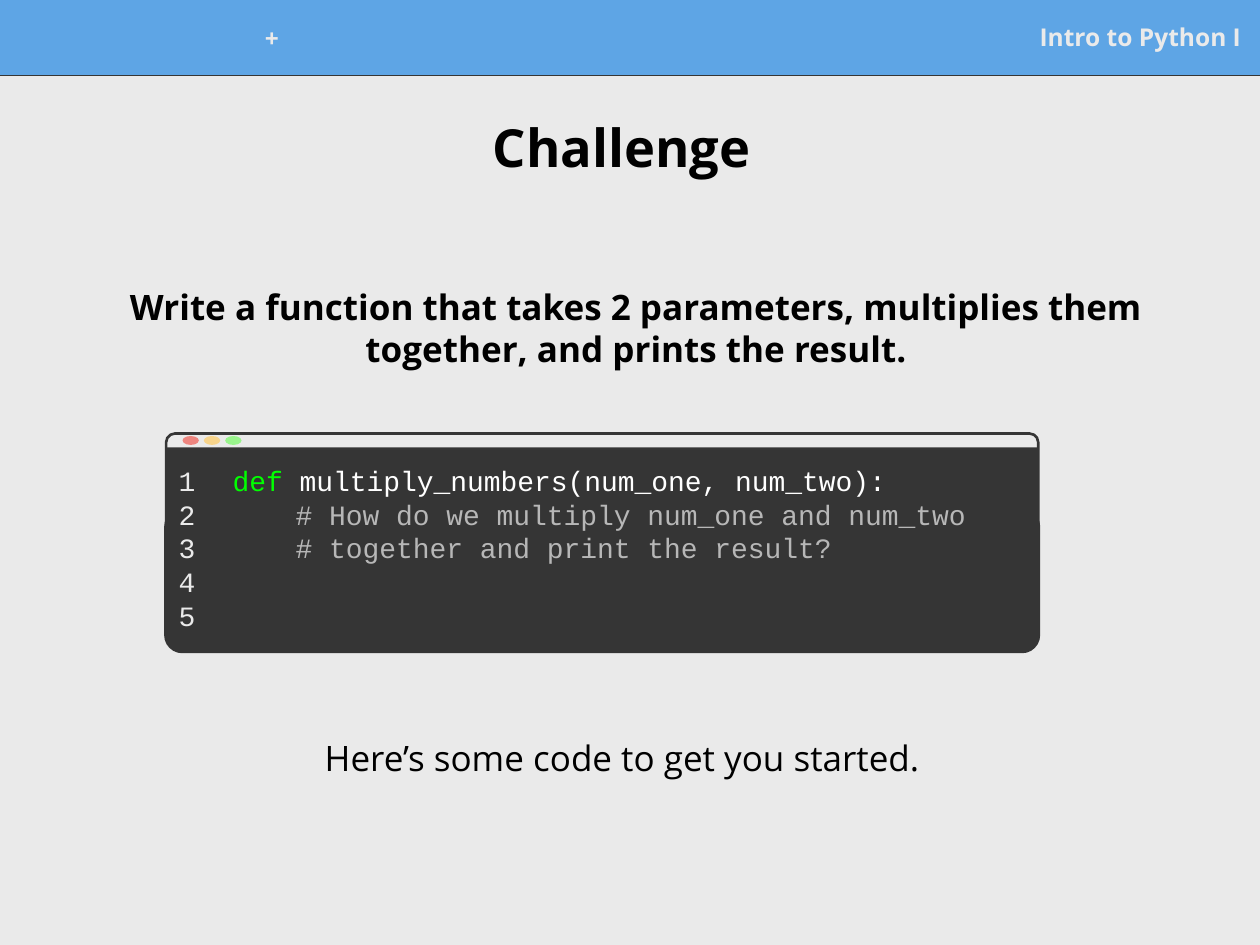
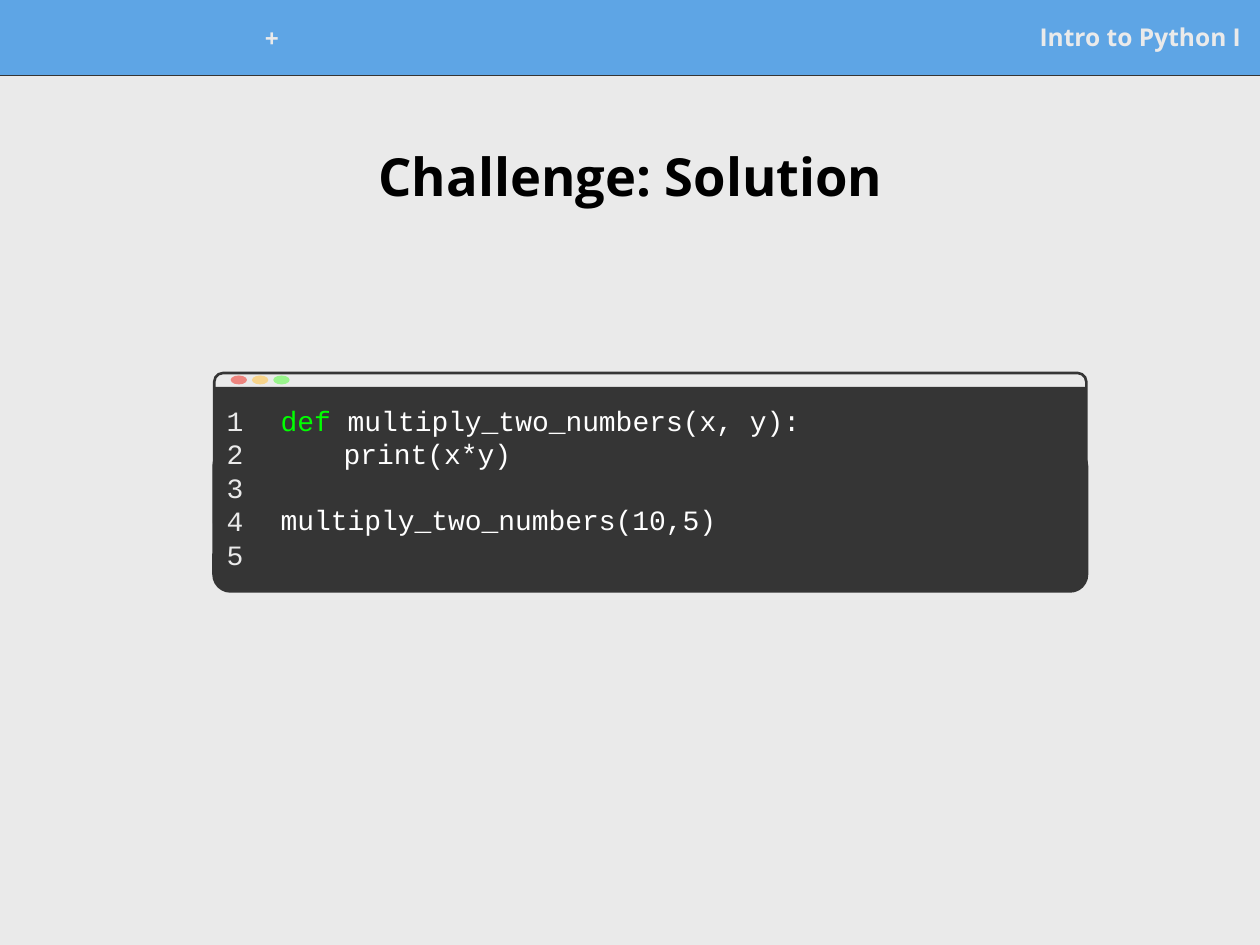
from pptx import Presentation
from pptx import util as u
from pptx.dml.color import RGBColor
from pptx.enum import shapes, text
from pptx.oxml import ns
from lxml import etree

Cm, Pt = u.Cm, u.Pt
KIND = shapes.MSO_SHAPE
ALIGN = text.PP_ALIGN
MID, TOP = text.MSO_ANCHOR.MIDDLE, text.MSO_ANCHOR.TOP

# Shared look
SANS, MONO = "Open Sans", "Courier New"
PALE, DARK, BLUE = "EAEAEA", "353535", "5EA5E5"
BLACK, WHITE, GREEN, GREY = "000000", "FFFFFF", "00FF00", "B7B7B7"
LIGHTS = ("ED857F", "F7D48B", "99F48C")
WIDE = 25.4
BAND = 1.5
CODE_SIZE = 16
CODE_LINE = 18.1  # height of one code line, in points


def paint(color, value):
    color.rgb = RGBColor.from_string(value)


# Kinds of element
def shape(parent, kind, box, fill=None, line=None, width=0.75, round_by=None):
    item = parent.add_shape(kind, *map(Cm, box))
    item.shadow.inherit = False
    if round_by is not None:
        item.adjustments[0] = round_by
    if fill:
        item.fill.solid()
        paint(item.fill.fore_color, fill)
    else:
        item.fill.background()
    if line:
        paint(item.line.color, line)
        item.line.width = Pt(width)
    else:
        item.line.fill.background()


def rule(parent, y, color, width):
    line = parent.add_connector(shapes.MSO_CONNECTOR.STRAIGHT,
                                0, Cm(y), Cm(WIDE), Cm(y))
    paint(line.line.color, color)
    line.line.width = Pt(width)
    etree.SubElement(line._element.spPr, ns.qn("a:effectLst"))


def write(parent, box, lines, size, font=SANS, bold=False,
          align=ALIGN.LEFT, anchor=TOP, after=0):
    """Each line is a list of (words, color) runs; an empty one leaves a gap."""
    frame = parent.add_textbox(*map(Cm, box)).text_frame
    frame.word_wrap = True
    frame.vertical_anchor = anchor
    frame.margin_left = frame.margin_right = Cm(0.25)
    frame.margin_top = frame.margin_bottom = Cm(0.25)
    para, gap = frame.paragraphs[0], 0
    for row in lines:
        if not row:
            gap += CODE_LINE
            continue
        if para.runs:
            para = frame.add_paragraph()
        para.alignment = align
        para.space_after = Pt(after)
        if gap:
            para.space_before = Pt(gap)
        gap = 0
        for words, color in row:
            run = para.add_run()
            run.text = words
            run.font.name, run.font.size, run.font.bold = font, Pt(size), bold
            paint(run.font.color, color)


def label(slide, box, words, size, color=BLACK, bold=True,
          align=ALIGN.CENTER, after=0):
    write(slide.shapes, box, [[(words, color)]], size, bold=bold,
          align=align, anchor=MID, after=after)


def title(slide, x, y, words):
    label(slide, (x, y, 24.51, 2.29), words, 30)


def editor(slide, x, y, code):
    """A code window with its top left corner at x, y."""
    group = slide.shapes.add_group_shape().shapes
    wide = 17.58
    # Frame and body
    shape(group, KIND.ROUNDED_RECTANGLE, (x, y, wide, 3.2),
          line=DARK, width=1.5, round_by=0.055)
    shape(group, KIND.RECTANGLE, (x, y + 0.28, wide, 3.81), DARK)
    shape(group, KIND.ROUNDED_RECTANGLE, (x, y + 1.55, wide, 2.84),
          DARK, DARK, 2.25, 0.115)
    # Window buttons
    for i, color in enumerate(LIGHTS):
        shape(group, KIND.OVAL, (x + 0.33 + 0.43 * i, y + 0.05, 0.33, 0.18), color)
    # Line numbers and code
    nums = [[(str(n), PALE)] for n in range(1, 6)]
    write(group, (x, y + 0.36, 1.73, 4.14), nums, CODE_SIZE, MONO)
    write(group, (x + 1.09, y + 0.36, wide, 3.73), code, CODE_SIZE, MONO)


def page(deck):
    """A new slide with the background and header band."""
    slide = deck.slides.add_slide(deck.slide_layouts[6])
    slide.background.fill.solid()
    paint(slide.background.fill.fore_color, PALE)
    rule(slide.shapes, BAND, DARK, 1.5)
    shape(slide.shapes, KIND.RECTANGLE, (0, 0, WIDE, BAND), BLUE, BLUE)
    label(slide, (15.85, 0.25, 9.42, 0.97), "Intro to Python I", 14, PALE,
          align=ALIGN.RIGHT)
    label(slide, (4.72, 0.28, 1.52, 0.97), "+", 14, PALE)
    return slide


def main():
    deck = Presentation()
    deck.slide_width, deck.slide_height = Cm(WIDE), Cm(19.05)

    # Challenge
    slide = page(deck)
    title(slide, 0.28, 1.8, "Challenge")
    label(slide, (1.04, 13.41, 23.01, 3.71),
          "Here’s some code to get you started.", 20, bold=False, after=10)
    label(slide, (1.32, 3.71, 23.01, 5.77),
          "Write a function that takes 2 parameters, multiplies them "
          "together, and prints the result.", 20, after=10)
    editor(slide, 3.35, 8.74, [
        [("def", GREEN), (" multiply_numbers(num_one, num_two):", WHITE)],
        [("\t# How do we multiply num_one and num_two", GREY)],
        [("\t# together and print the result?", GREY)],
    ])

    # Solution
    slide = page(deck)
    title(slide, 0.46, 2.39, "Challenge: Solution")
    editor(slide, 4.32, 7.52, [
        [("def", GREEN), (" multiply_two_numbers(x, y):", WHITE)],
        [("\tprint(x*y)", WHITE)],
        [],
        [("multiply_two_numbers(10,5)", WHITE)],
    ])

    deck.save("out.pptx")


if __name__ == "__main__":
    main()
